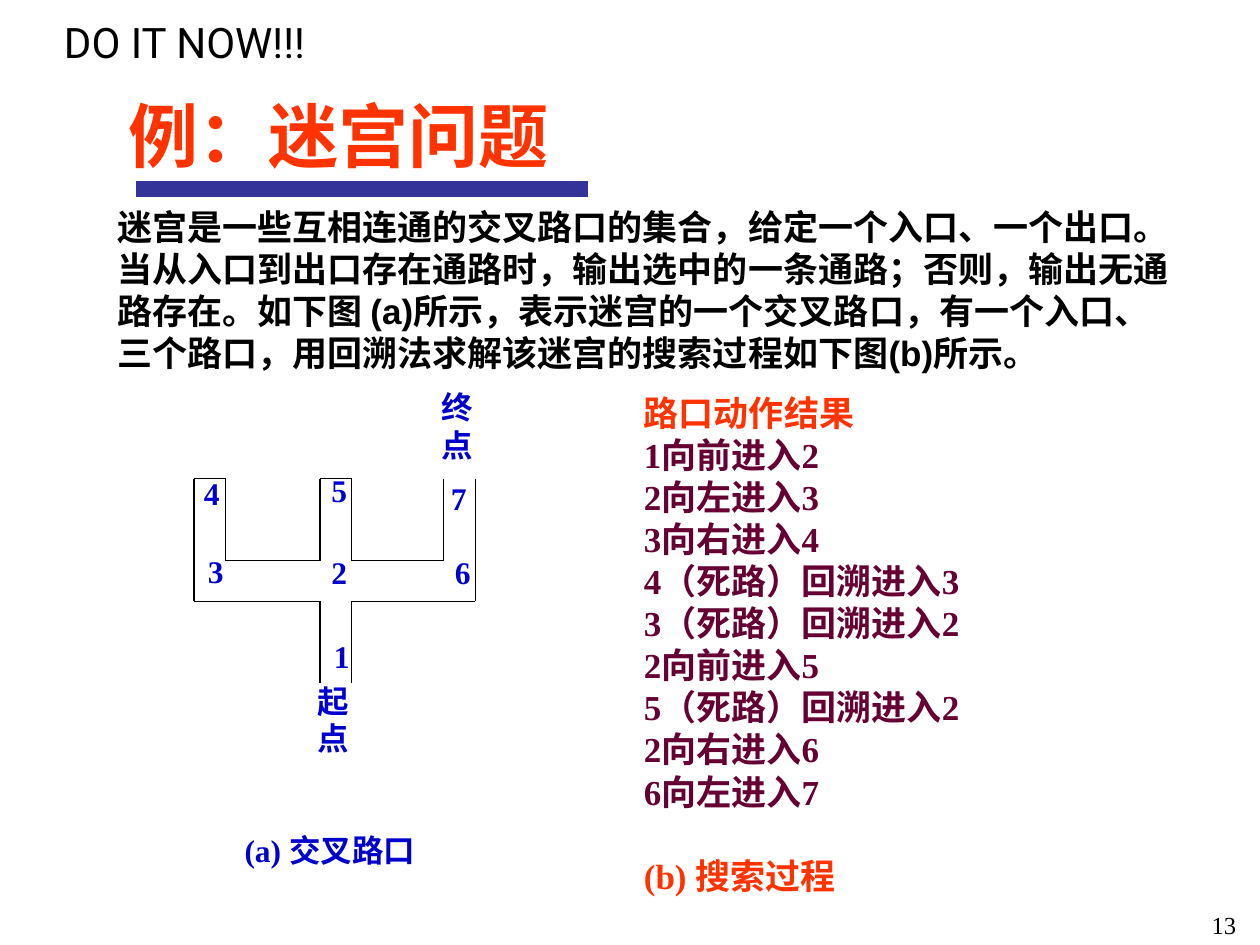
from lxml import etree
from pptx import Presentation
from pptx.dml.color import RGBColor
from pptx.enum.shapes import MSO_CONNECTOR
from pptx.enum.text import MSO_ANCHOR, PP_ALIGN
from pptx.oxml.ns import qn
from pptx.util import Cm, Pt

STRAIGHT = MSO_CONNECTOR.STRAIGHT
TOP, BOTTOM = MSO_ANCHOR.TOP, MSO_ANCHOR.BOTTOM
LEFT, RIGHT, JUSTIFY = PP_ALIGN.LEFT, PP_ALIGN.RIGHT, PP_ALIGN.JUSTIFY

COLORS = {
    "black": "000000",
    "white": "FFFFFF",
    "rule": "333399",
    "accent": "FF3300",
    "label": "0000CC",
    "step": "660033",
}
SERIF = "Times New Roman"
PADDING = (0.25, 0.13, 0.25, 0.13)
NO_PADDING = (0, 0, 0, 0)

INTRO = (
    "迷宫是一些互相连通的交叉路口的集合，给定一个入口、一个出口。"
    "当从入口到出口存在通路时，输出选中的一条通路；否则，输出无通路存在。"
    "如下图 (a)所示，表示迷宫的一个交叉路口，有一个入口、三个路口，"
    "用回溯法求解该迷宫的搜索过程如下图(b)所示。"
)
STEPS = [
    "1向前进入2",
    "2向左进入3",
    "3向右进入4",
    "4（死路）回溯进入3",
    "3（死路）回溯进入2",
    "2向前进入5",
    "5（死路）回溯进入2",
    "2向右进入6",
    "6向左进入7",
]


def color(name):
    return RGBColor.from_string(COLORS[name])


def add_box(page, left, top, width, height, padding=PADDING, anchor=TOP, wrap=True, fill=None):
    """Add an empty text box, in centimetres, and return its text frame."""
    box = page.shapes.add_textbox(Cm(left), Cm(top), Cm(width), Cm(height))
    if fill:
        box.fill.solid()
        box.fill.fore_color.rgb = color(fill)
    frame = box.text_frame
    frame.word_wrap = wrap
    frame.vertical_anchor = anchor
    (frame.margin_left, frame.margin_top,
     frame.margin_right, frame.margin_bottom) = map(Cm, padding)
    return frame


def write(para, text, size=18, font=SERIF, ink="label", bold=True, align=JUSTIFY, before=None):
    para.alignment = align
    if before:
        para.space_before = Pt(before)
    span = para.add_run()
    span.text = text
    span.font.size = Pt(size)
    span.font.name = font
    span.font.bold = bold
    span.font.color.rgb = color(ink)


def add_line(page, x1, y1, x2, y2, ink="black", weight=0.75):
    line = page.shapes.add_connector(STRAIGHT, Cm(x1), Cm(y1), Cm(x2), Cm(y2))
    line.line.color.rgb = color(ink)
    line.line.width = Pt(weight)
    properties = line._element.find(qn("p:spPr"))
    etree.SubElement(properties, qn("a:effectLst"))


def add_header(page, left, top):
    banner = add_box(page, left, top, 6.63, 1.27, wrap=False)
    write(banner.paragraphs[0], "DO IT NOW!!!", size=24, font="Roboto",
          ink="black", bold=False, align=LEFT)
    title = add_box(page, left + 1.3, top + 2.47, 10.59, 1.02, anchor=BOTTOM)
    write(title.paragraphs[0], "例：迷宫问题", size=40, font="Arial", ink="accent", align=LEFT)
    rule_y = top + 3.61
    add_line(page, left + 1.7, rule_y, left + 10.82, rule_y, ink="rule", weight=9.5)


def add_intro(page, left, top, width, height):
    frame = add_box(page, left, top, width, height)
    write(frame.paragraphs[0], INTRO, size=20, font="Arial", ink="black", align=LEFT)


def add_maze(page, left, top):
    """Draw the crossroads: three dead ends or exits above, the entry below."""
    x_left, x_left_in, x_mid, x_mid_in, x_right, x_right_in = 0, 0.64, 2.54, 3.18, 5.03, 5.67
    y_top, y_hall, y_floor, y_entry = 0, 1.65, 2.47, 4.12
    upright = [
        (x_left, y_top, y_floor), (x_left_in, y_top, y_hall),
        (x_mid, y_top, y_hall), (x_mid_in, y_top, y_hall),
        (x_right, y_top, y_hall), (x_right_in, y_top, y_floor),
        (x_mid, y_floor, y_entry), (x_mid_in, y_floor, y_entry),
    ]
    level = [
        (y_top, x_left, x_left_in), (y_top, x_mid, x_mid_in),
        (y_hall, x_left_in, x_mid), (y_hall, x_mid_in, x_right),
        (y_floor, x_left, x_mid), (y_floor, x_mid_in, x_right_in),
    ]
    walls = [(x, y1, x, y2) for x, y1, y2 in upright]
    walls += [(x1, y, x2, y) for y, x1, x2 in level]
    for x1, y1, x2, y2 in walls:
        add_line(page, left + x1, top + y1, left + x2, top + y2)

    labels = [
        ("4", 0.2, -0.1), ("5", 2.77, -0.15), ("7", 5.18, 0),
        ("3", 0.28, 1.47), ("2", 2.77, 1.5), ("6", 5.26, 1.5),
        ("1", 2.82, 3.2), ("起点", 2.49, 4.09), ("终点", 5, -1.83),
    ]
    for text, x, y in labels:
        width = 0.48 if len(text) == 1 else 1.02
        frame = add_box(page, left + x, top + y, width, 1.05, padding=NO_PADDING)
        write(frame.paragraphs[0], text)

    caption = add_box(page, left + 1.02, top + 7.11, 3.78, 1.09, padding=NO_PADDING, fill="white")
    write(caption.paragraphs[0], "(a) 交叉路口")


def add_search(page, left, top, width, height):
    frame = add_box(page, left, top, width, height,
                    padding=(0.46, 0.03, 0.15, 0.03), fill="white")
    write(frame.paragraphs[0], "路口动作结果", size=20, ink="accent")
    for step in STEPS:
        write(frame.add_paragraph(), step, size=20, ink="step")
    write(frame.add_paragraph(), "(b) 搜索过程", size=20, ink="accent", before=24)


def add_page_number(page, left, top, width, height):
    frame = add_box(page, left, top, width, height)
    write(frame.paragraphs[0], "13", size=14, ink="black", bold=False, align=RIGHT)


def main():
    deck = Presentation()
    deck.slide_width, deck.slide_height = Cm(25.4), Cm(19.05)
    page = deck.slides.add_slide(deck.slide_layouts[6])
    add_header(page, 1.04, 0.2)
    add_intro(page, 2.11, 4.01, 22, 3.66)
    add_maze(page, 3.91, 9.65)
    add_search(page, 12.52, 7.87, 7.59, 10.54)
    add_page_number(page, 19.89, 18.21, 5.28, 0.64)
    deck.save("out.pptx")


if __name__ == "__main__":
    main()
